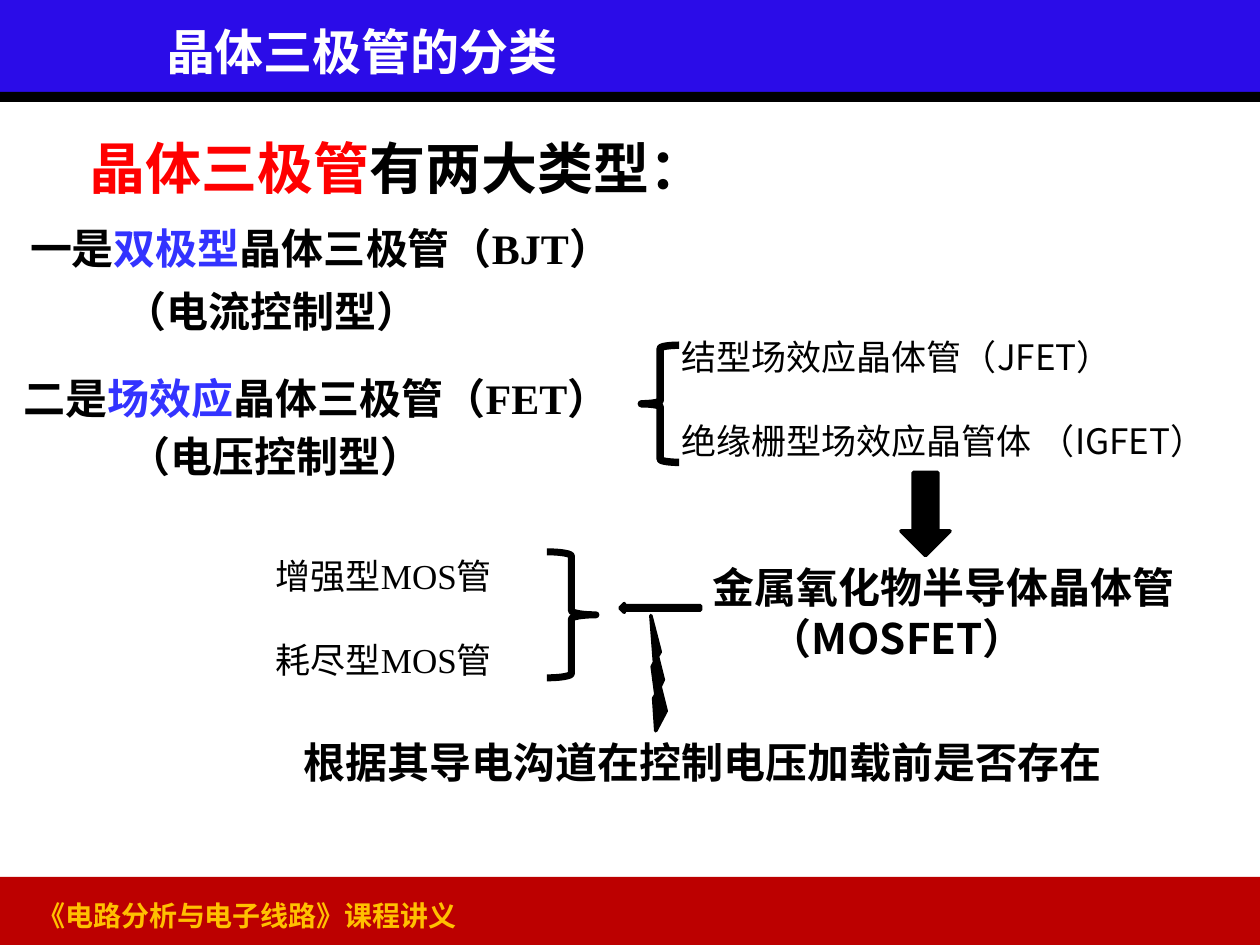
from dataclasses import dataclass
from typing import Optional

from lxml import etree
from pptx import Presentation
from pptx.dml.color import RGBColor
from pptx.enum.shapes import MSO_SHAPE
from pptx.oxml.ns import qn
from pptx.util import Inches, Pt

RECT = MSO_SHAPE.RECTANGLE
DOWN_ARROW = MSO_SHAPE.DOWN_ARROW
RIGHT_ARROW = MSO_SHAPE.RIGHT_ARROW
LEFT_BRACE = MSO_SHAPE.LEFT_BRACE
RIGHT_BRACE = MSO_SHAPE.RIGHT_BRACE
BOLT = MSO_SHAPE.LIGHTNING_BOLT

BLACK = RGBColor(0x00, 0x00, 0x00)
WHITE = RGBColor(0xFF, 0xFF, 0xFF)
RED = RGBColor(0xFF, 0x00, 0x00)
BLUE = RGBColor(0x33, 0x33, 0xFF)
GOLD = RGBColor(0xFF, 0xC0, 0x00)
HEADER_BLUE = RGBColor(0x2B, 0x0C, 0xE8)
FOOTER_RED = RGBColor(0xBC, 0x00, 0x00)

SANS = "Noto Sans CJK SC"
SERIF = "Times New Roman"

# The slide is a grid of 100 columns by 75 rows of square cells
CELL = Inches(0.1)
COLS, ROWS = 100, 75


@dataclass(frozen=True)
class Box:
    col: float
    row: float
    cols: float
    rows: float

    def emu(self) -> tuple[int, ...]:
        return tuple(round(v * CELL) for v in (self.col, self.row, self.cols, self.rows))


@dataclass(frozen=True)
class Run:
    text: str
    color: RGBColor = BLACK
    font: str = SANS


@dataclass(frozen=True)
class Label:
    box: Box
    size: int
    lines: tuple[tuple[Run, ...], ...]
    bold: bool = True
    wrap: bool = True
    gap: float = 0      # space before later lines, points
    indent: float = 0   # left margin of later lines, columns


@dataclass(frozen=True)
class Figure:
    kind: int
    box: Box
    fill: Optional[RGBColor] = BLACK
    line: float = 0
    rotation: float = 0


def one_line(*runs: Run) -> tuple[tuple[Run, ...], ...]:
    return (runs,)


def draw_figure(s, fig: Figure) -> None:
    sp = s.shapes.add_shape(fig.kind, *fig.box.emu())
    sp.shadow.inherit = False
    sp.rotation = fig.rotation
    if fig.fill is None:
        sp.fill.background()
    else:
        sp.fill.solid()
        sp.fill.fore_color.rgb = fig.fill
    if fig.line:
        sp.line.color.rgb = BLACK
        sp.line.width = Pt(fig.line)
    else:
        sp.line.fill.background()


def draw_label(s, label: Label) -> None:
    tf = s.shapes.add_textbox(*label.box.emu()).text_frame
    tf.word_wrap = label.wrap
    for i, runs in enumerate(label.lines):
        p = tf.add_paragraph() if i else tf.paragraphs[0]
        if i and label.gap:
            p.space_before = Pt(label.gap)
        if i and label.indent:
            p._p.get_or_add_pPr().set("marL", str(round(label.indent * CELL)))
        for run in runs:
            r = p.add_run()
            r.text = run.text
            r.font.name = run.font
            r.font.size = Pt(label.size)
            r.font.bold = label.bold
            r.font.color.rgb = run.color
            etree.SubElement(r._r.get_or_add_rPr(), qn("a:ea")).set("typeface", SANS)


FIGURES = (
    # Footer and header bands
    Figure(RECT, Box(0, 69.6, COLS, 5.4), FOOTER_RED),
    Figure(RECT, Box(0, 0, COLS, 7.6), HEADER_BLUE),
    Figure(RECT, Box(0, 7.3, COLS, 0.8)),
    # Arrows, braces and the bolt linking the classes
    Figure(DOWN_ARROW, Box(71.5, 37.5, 3.9, 6.6), line=2),
    Figure(LEFT_BRACE, Box(50.9, 27.4, 3, 9.3), None, 4.25),
    Figure(RIGHT_ARROW, Box(49.2, 47.9, 6.4, 0.7), line=2, rotation=180),
    Figure(RIGHT_BRACE, Box(43.4, 43.8, 3.9, 10), None, 4),
    Figure(BOLT, Box(51.3, 48.9, 1.8, 9.1), line=2, rotation=184.4),
)

LABELS = (
    # Title, footer and heading
    Label(Box(12.2, 1.2, 33.6, 5.7), 28,
          one_line(Run("晶体三极管的分类", WHITE, SERIF)), wrap=False),
    Label(Box(2, 70.8, 88.2, 3.7), 16,
          one_line(Run("《电路分析与电子线路》课程讲义", GOLD, SERIF))),
    Label(Box(6.1, 10.1, 57.5, 6.3), 32,
          one_line(Run("晶体三极管", RED, SERIF), Run("有两大类型：", font=SERIF))),
    # The two main types
    Label(Box(1.4, 17.2, 65.3, 5), 24,
          one_line(Run("一是"), Run("双极型", BLUE), Run("晶体三极管"),
                   Run("（BJT）", font=SERIF))),
    Label(Box(8.9, 22.2, 25.6, 5), 24, one_line(Run("（电流控制型）")), wrap=False),
    Label(Box(0.9, 29.1, 58.2, 5), 24,
          one_line(Run("二是"), Run("场效应", BLUE), Run("晶体三极管"),
                   Run("（FET）", font=SERIF))),
    Label(Box(9.2, 33.7, 25.6, 5), 24, one_line(Run("（电压控制型）")), wrap=False),
    # Field-effect branches
    Label(Box(53.1, 26.1, 46, 11), 20,
          ((Run("结型场效应晶体管（JFET）"),),
           (Run("绝缘栅型场效应晶管体 （IGFET）"),)), bold=False, gap=24),
    Label(Box(55.6, 44.1, 41, 9.1), 24,
          ((Run("金属氧化物半导体晶体管"),), (Run("（MOSFET）"),)), indent=4.5),
    # MOS kinds and what separates them
    Label(Box(20.9, 43.5, 20.6, 11.1), 20,
          ((Run("增强型MOS管", font=SERIF),), (Run("耗尽型MOS管", font=SERIF),)),
          bold=False, gap=24),
    Label(Box(23.1, 58, 70.1, 5), 24,
          one_line(Run("根据其导电沟道在控制电压加载前是否存在", font=SERIF))),
)


def main() -> None:
    prs = Presentation()
    prs.slide_width, prs.slide_height = COLS * CELL, ROWS * CELL
    s = prs.slides.add_slide(prs.slide_layouts[6])
    for fig in FIGURES:
        draw_figure(s, fig)
    for label in LABELS:
        draw_label(s, label)
    prs.save("out.pptx")


if __name__ == "__main__":
    main()
